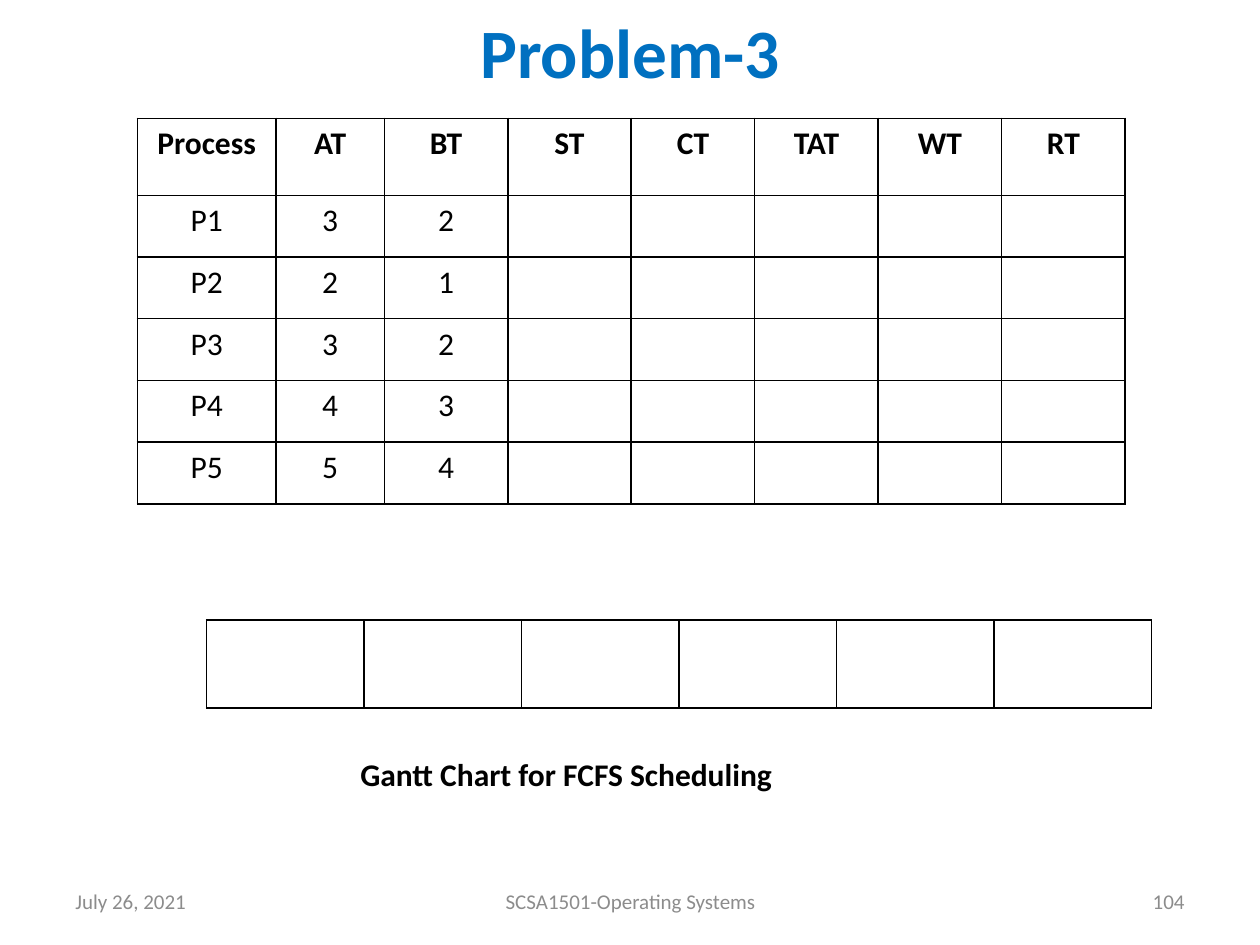
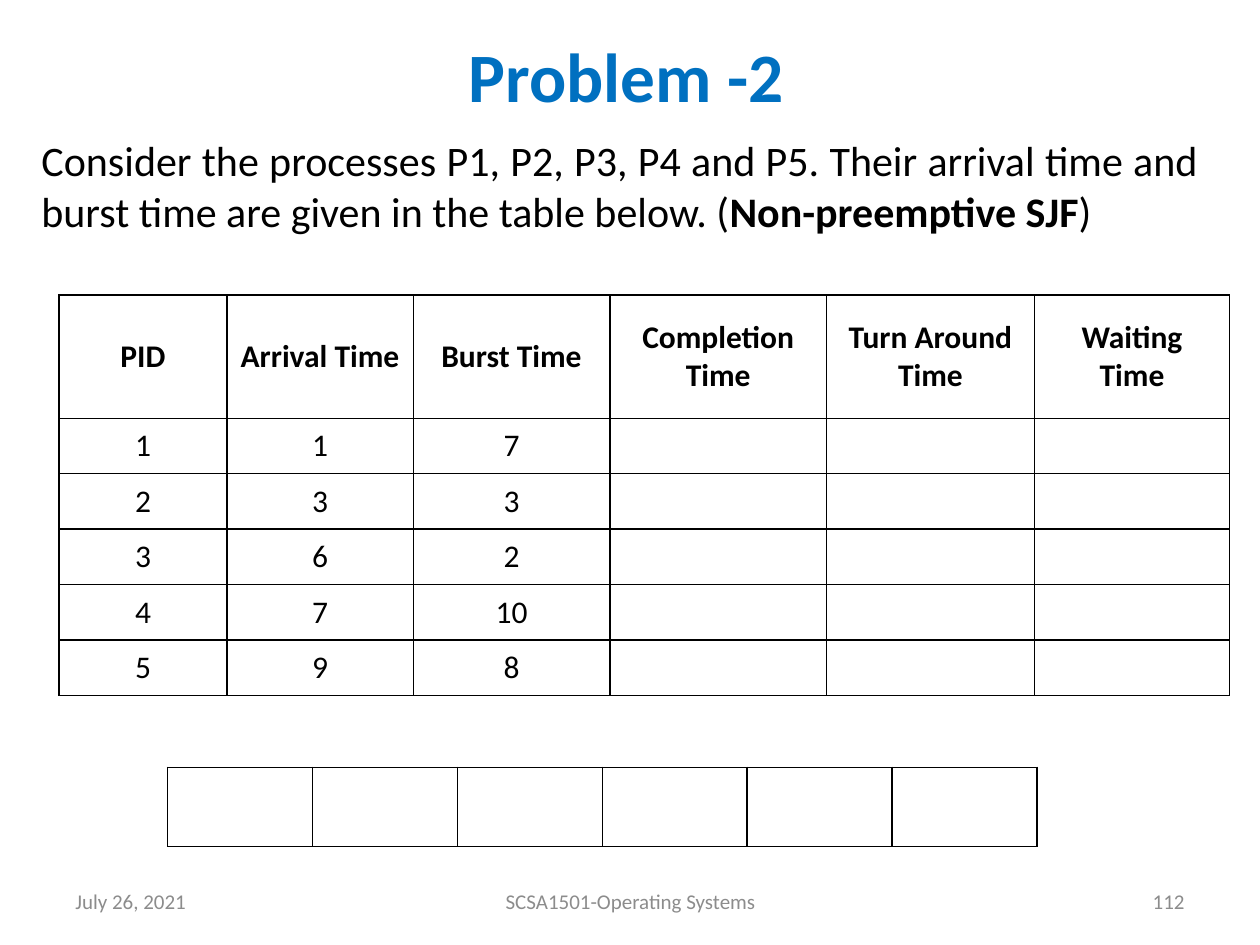
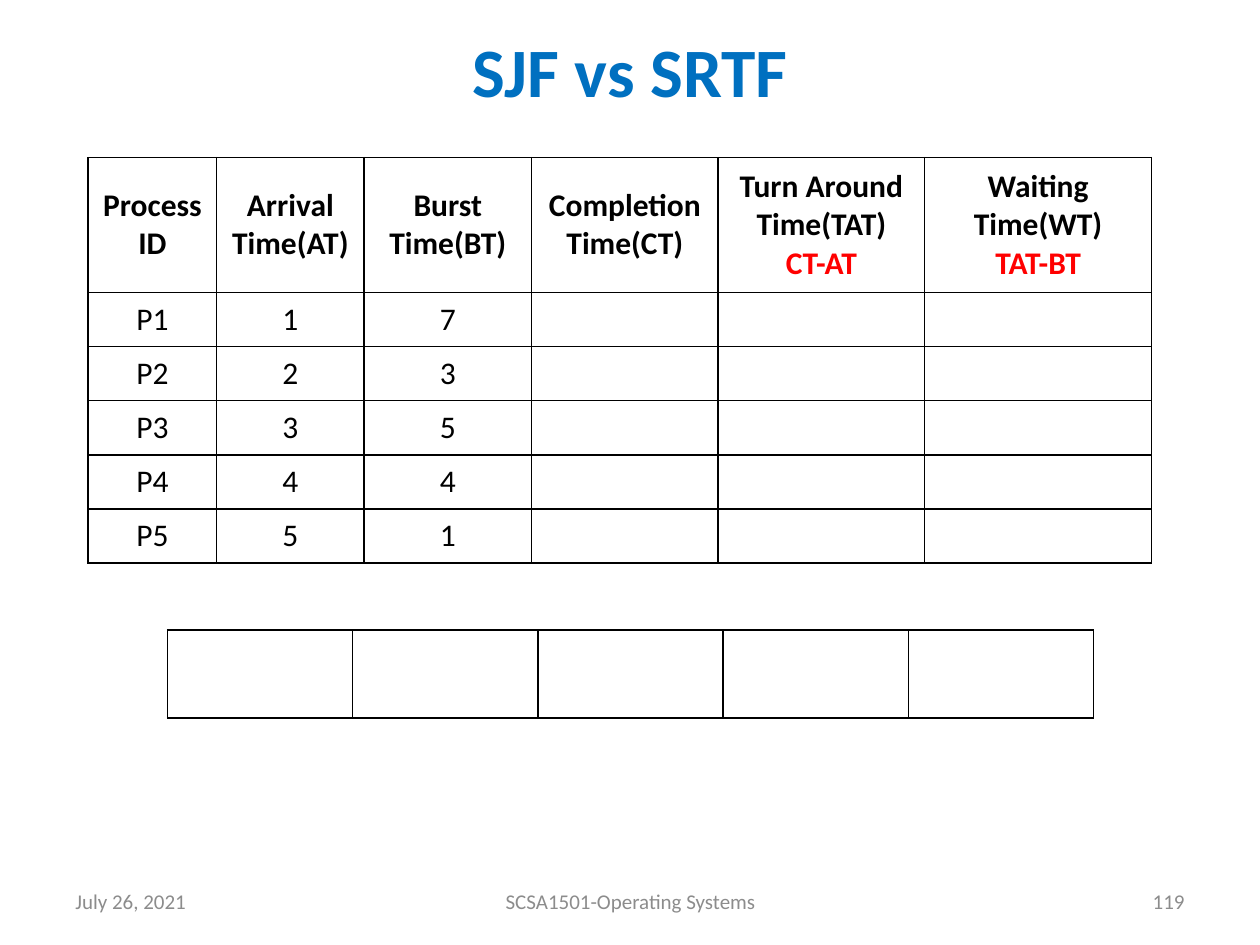
from lxml import etree
from pptx import Presentation
from pptx import util as u
from pptx.dml import color
from pptx.enum import text as t
from pptx.oxml import ns

FONT = "Calibri"
BLUE, BLACK, RED, GRAY, WHITE = "0070C0", "000000", "FF0000", "8C8C8C", "FFFFFF"
LEFT, MID, RIGHT, JUST = (t.PP_ALIGN.LEFT, t.PP_ALIGN.CENTER,
                          t.PP_ALIGN.RIGHT, t.PP_ALIGN.JUSTIFY)
TOP, CENTER = t.MSO_ANCHOR.TOP, t.MSO_ANCHOR.MIDDLE


def rgb(code):
    return color.RGBColor.from_string(code)


def place(shape, box):
    shape.left, shape.top, shape.width, shape.height = map(u.Inches, box)


def add_run(para, words, size, ink=BLACK, bold=False):
    run = para.add_run()
    run.text = words
    font = run.font
    font.name, font.size, font.bold = FONT, u.Pt(size), bold
    font.color.rgb = rgb(ink)


def add_title(slide, words, box):
    title = slide.shapes.title
    place(title, box)
    frame = title.text_frame
    frame.auto_size = t.MSO_AUTO_SIZE.NONE
    frame.vertical_anchor = CENTER
    para = frame.paragraphs[0]
    para.alignment = MID
    add_run(para, words, 39.6, BLUE, True)


def add_text(slide, box, runs, size, align, anchor=TOP, ink=BLACK):
    """Add a one-paragraph box; runs are (words, bold) pairs."""
    frame = slide.shapes.add_textbox(*map(u.Inches, box)).text_frame
    frame.word_wrap = True
    frame.vertical_anchor = anchor
    para = frame.paragraphs[0]
    para.alignment = align
    for words, bold in runs:
        add_run(para, words, size, ink, bold)


def add_footer(slide, number):
    parts = [(0.5, 2.33, "July 26, 2021", LEFT),
             (3.42, 3.17, "SCSA1501-Operating Systems", MID),
             (7.17, 2.33, str(number), RIGHT)]
    for left, width, words, align in parts:
        add_text(slide, (left, 6.95, width, 0.4), [(words, False)],
                 12, align, CENTER, GRAY)


def style_cell(cell):
    """Give a cell thin black borders and a white fill."""
    props = cell._tc.get_or_add_tcPr()
    for side in ("a:lnL", "a:lnR", "a:lnT", "a:lnB"):
        line = etree.SubElement(props, ns.qn(side), w=str(u.Pt(1)))
        fill = etree.SubElement(line, ns.qn("a:solidFill"))
        etree.SubElement(fill, ns.qn("a:srgbClr"), val=BLACK)
    cell.fill.solid()
    cell.fill.fore_color.rgb = rgb(WHITE)


def add_grid(slide, left, top, cols, rows):
    """Add an empty ruled table from its column widths and row heights."""
    box = map(u.Inches, (left, top, sum(cols), sum(rows)))
    table = slide.shapes.add_table(len(rows), len(cols), *box).table
    table.first_row = table.horz_banding = False
    for col, width in zip(table.columns, cols):
        col.width = u.Inches(width)
    for row, height in zip(table.rows, rows):
        row.height = u.Inches(height)
    for cell in table.iter_cells():
        style_cell(cell)
    return table


def fill_cell(cell, words, bold, anchor):
    """Write a cell; a second line, if any, is a red formula."""
    cell.vertical_anchor = anchor
    frame = cell.text_frame
    for i, line in enumerate(words.split("\n")):
        para = frame.add_paragraph() if i else frame.paragraphs[0]
        para.alignment = MID
        add_run(para, line, 18, RED if i else BLACK, bold)


def add_jobs(slide, left, top, cols, head, jobs, heights, anchor=CENTER):
    """Add a process table; the columns to work out stay empty."""
    first, rest = heights
    table = add_grid(slide, left, top, cols, [first] + [rest] * len(jobs))
    for r, row in enumerate([head] + jobs):
        for c, words in enumerate(row):
            fill_cell(table.cell(r, c), str(words), r == 0, anchor)


def add_gantt(slide, left, top, count, width, height):
    add_grid(slide, left, top, [width] * count, [height])


def new_slide(deck, words, box, number):
    slide = deck.slides.add_slide(deck.slide_layouts[5])
    add_title(slide, words, box)
    add_footer(slide, number)
    return slide


def fcfs_slide(deck):
    slide = new_slide(deck, "Problem-3", (0.5, 0.08, 9, 0.64), 104)
    add_jobs(slide, 1.09, 0.94, [1.1, 0.86] + [0.98] * 6,
             ["Process", "AT", "BT", "ST", "CT", "TAT", "WT", "RT"],
             [("P1", 3, 2), ("P2", 2, 1), ("P3", 3, 2), ("P4", 4, 3),
              ("P5", 5, 4)], (0.61, 0.49), TOP)
    add_gantt(slide, 1.64, 4.92, 6, 1.25, 0.7)
    add_text(slide, (2.66, 5.94, 3.67, 0.4),
             [("Gantt Chart for FCFS Scheduling", True)], 18, MID)


def sjf_slide(deck):
    slide = new_slide(deck, "Problem -2", (0.47, 0.23, 9, 0.72), 112)
    add_text(slide, (0.23, 1.02, 9.38, 0.91),
             [("Consider the processes P1, P2, P3, P4 and P5. Their arrival "
               "time and burst time are given in the table below. (", False),
              ("Non-preemptive SJF", True), (")", False)], 24, JUST)
    add_jobs(slide, 0.47, 2.34, [1.33, 1.48, 1.56, 1.72, 1.65, 1.55],
             ["PID", "Arrival Time", "Burst Time", "Completion Time",
              "Turn Around Time", "Waiting Time"],
             [(1, 1, 7), (2, 3, 3), (3, 6, 2), (4, 7, 10), (5, 9, 8)],
             (0.98, 0.44))
    add_gantt(slide, 1.33, 6.09, 6, 1.15, 0.63)


def versus_slide(deck):
    slide = new_slide(deck, "SJF vs SRTF", (0.5, 0.16, 9, 0.79), 119)
    add_jobs(slide, 0.7, 1.25, [1.02, 1.17, 1.33, 1.48, 1.64, 1.8],
             ["Process ID", "Arrival Time(AT)", "Burst Time(BT)",
              "Completion Time(CT)", "Turn Around Time(TAT)\nCT-AT",
              "Waiting Time(WT)\nTAT-BT"],
             [("P1", 1, 7), ("P2", 2, 3), ("P3", 3, 5), ("P4", 4, 4),
              ("P5", 5, 1)], (1.07, 0.43))
    add_gantt(slide, 1.33, 5, 5, 1.47, 0.7)


def main():
    deck = Presentation()
    deck.slide_width, deck.slide_height = u.Inches(10), u.Inches(7.5)
    fcfs_slide(deck)
    sjf_slide(deck)
    versus_slide(deck)
    deck.save("out.pptx")


if __name__ == "__main__":
    main()
